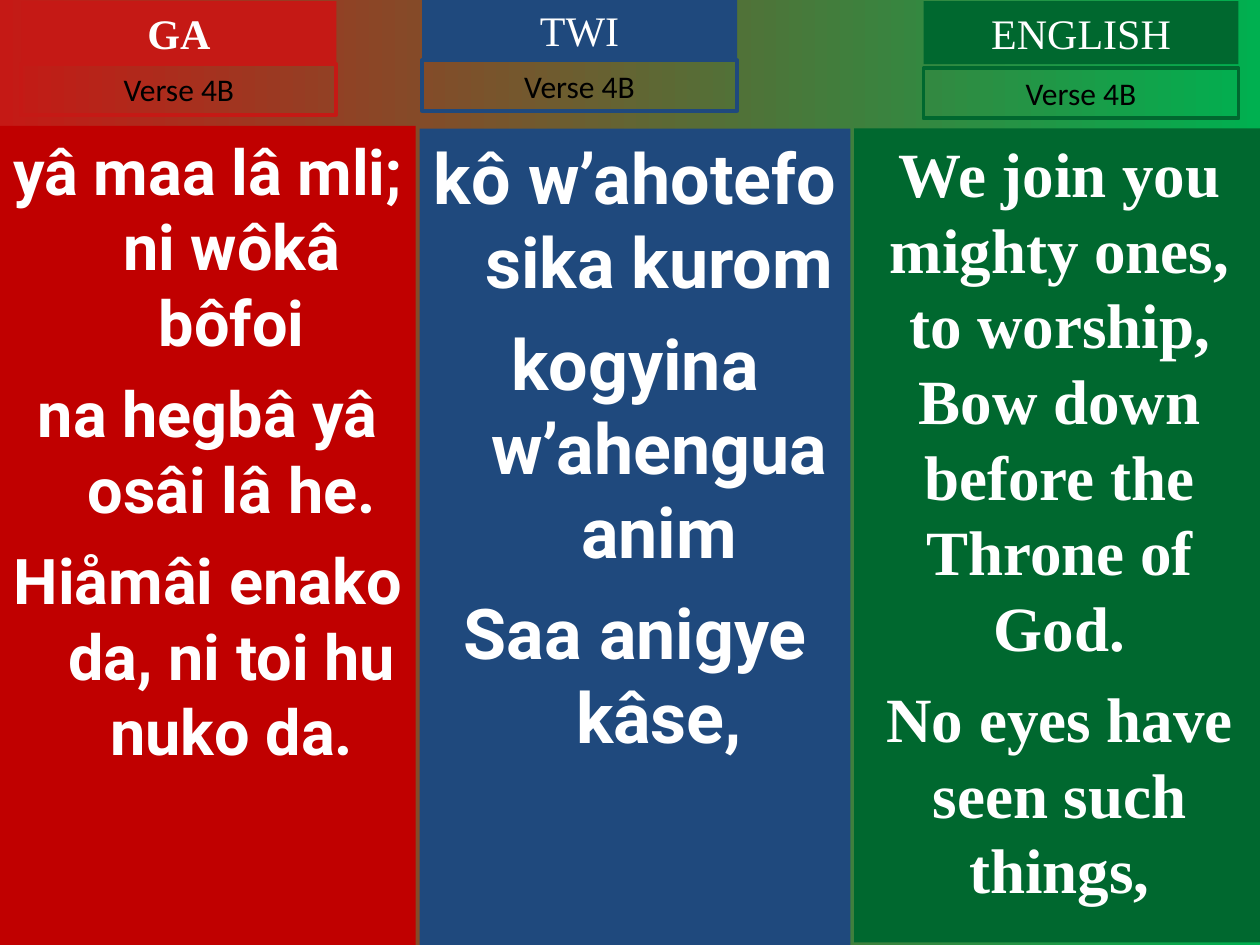
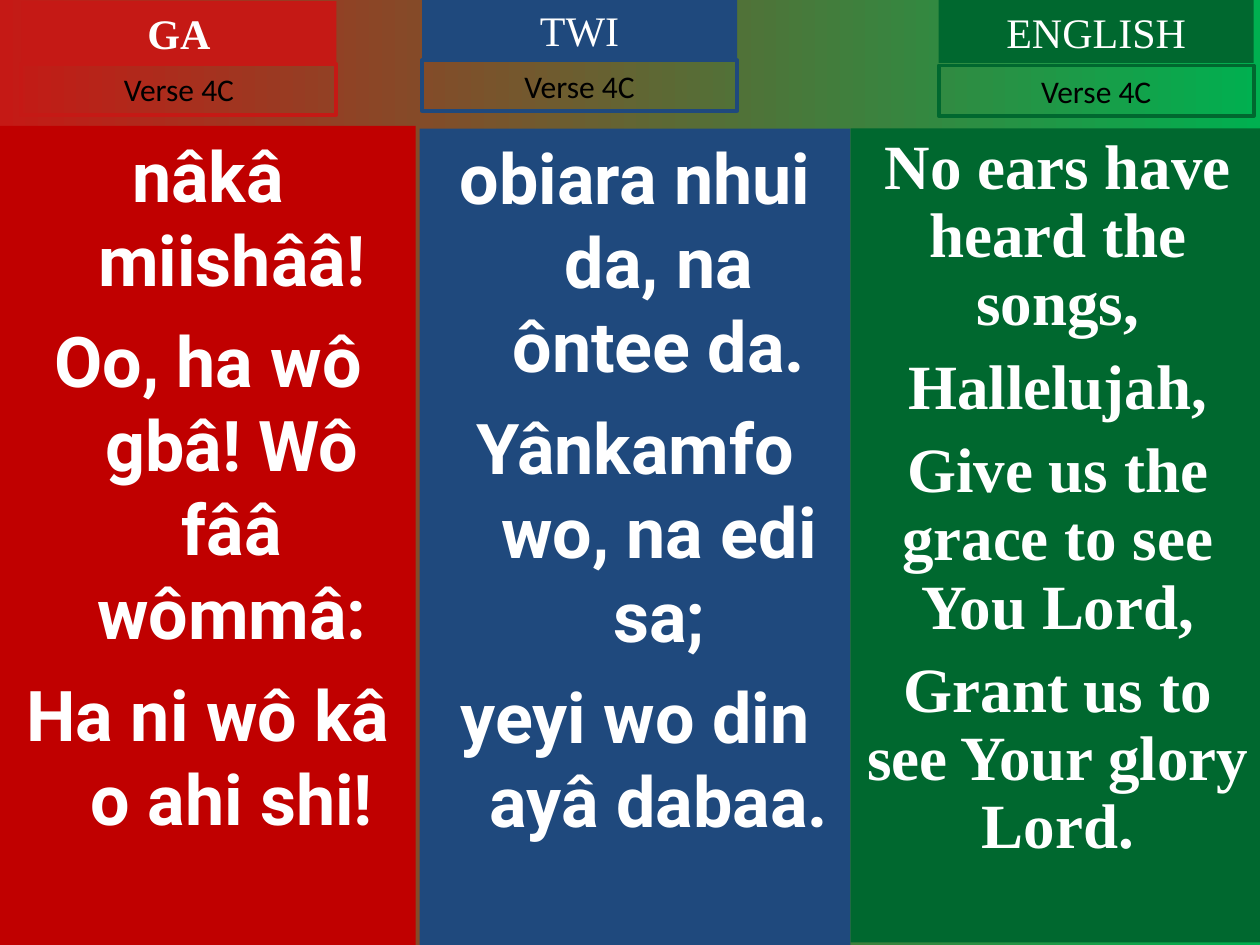
"""Build two hymn slides with Ga, Twi and English lyrics side by side."""
from dataclasses import dataclass

from pptx import Presentation
from pptx.dml.color import RGBColor
from pptx.enum import shapes, text
from pptx.shapes.autoshape import Shape
from pptx.slide import Slide
from pptx.util import Inches, Pt


@dataclass(frozen=True)
class Theme:
    red: RGBColor = RGBColor(0xC5, 0x19, 0x15)
    deep_red: RGBColor = RGBColor(0xC0, 0x00, 0x00)
    blue: RGBColor = RGBColor(0x1F, 0x49, 0x7D)
    green: RGBColor = RGBColor(0x00, 0x68, 0x2F)
    bright_green: RGBColor = RGBColor(0x00, 0xB0, 0x50)
    white: RGBColor = RGBColor(0xFF, 0xFF, 0xFF)
    black: RGBColor = RGBColor(0x00, 0x00, 0x00)
    lyric_font: str = "Roboto"
    serif_font: str = "Times New Roman"
    verse_font: str = "Calibri"
    language_size: int = 24
    verse_size: int = 18
    lyric_size: int = 36
    large_lyric_size: int = 40


THEME = Theme()


@dataclass(frozen=True)
class Box:
    left: float
    top: float
    width: float
    height: float


@dataclass(frozen=True)
class TextStyle:
    font: str
    size: int
    color: RGBColor
    bold: bool = False
    space_before: float = 0
    line_spacing: float | None = None
    hanging: float = 0


@dataclass(frozen=True)
class Language:
    name: str
    label_color: RGBColor
    panel_color: RGBColor
    font: str
    bold_label: bool = False
    hanging: float = 0


@dataclass(frozen=True)
class Column:
    language: Language
    panel: Box
    label_left: float
    label_top: float
    verse_top: float
    lyrics: tuple[str, ...]
    size: int
    space_before: float
    line_spacing: float | None = None


GA = Language("GA", THEME.red, THEME.deep_red, THEME.lyric_font, True, 0.38)
TWI = Language("TWI", THEME.blue, THEME.blue, THEME.lyric_font, False, 0.38)
ENGLISH = Language("ENGLISH", THEME.green, THEME.green, THEME.serif_font)


def ga_column(lyrics: tuple[str, ...], size: int, space_before: float) -> Column:
    return Column(GA, Box(0, 1, 3.3, 6.5), 0.17, 0.01, 0.51, lyrics, size, space_before)


def twi_column(lyrics: tuple[str, ...]) -> Column:
    return Column(TWI, Box(3.33, 1.02, 3.42, 6.48), 3.35, -0.01, 0.48, lyrics,
                  THEME.large_lyric_size, 10)


VERSES: dict[str, tuple[Column, ...]] = {
    "Verse 4B": (
        ga_column(("yâ maa lâ mli; ni wôkâ bôfoi",
                   "na hegbâ yâ osâi lâ he.",
                   "Hiåmâi enako da, ni toi hu nuko da."), THEME.lyric_size, 9),
        twi_column(("kô w’ahotefo sika kurom",
                    "kogyina w’ahengua anim",
                    "Saa anigye kâse,")),
        Column(ENGLISH, Box(6.78, 1.02, 3.26, 6.46), 7.33, 0.01, 0.54,
               ("We join you mighty ones, to worship, Bow down before the Throne of God.",
                "No eyes have seen such things,"), THEME.lyric_size, 9),
    ),
    "Verse 4C": (
        ga_column(("nâkâ miishââ!",
                   "Oo, ha wô gbâ! Wô fââ wômmâ:",
                   "Ha ni wô kâ o ahi shi!"), THEME.large_lyric_size, 10),
        twi_column(("obiara nhui da, na ôntee da.",
                    "Yânkamfo wo, na edi sa;",
                    "yeyi wo din ayâ dabaa.")),
        Column(ENGLISH, Box(6.75, 1.02, 3.29, 6.46), 7.45, 0, 0.52,
               ("No ears have heard the songs,",
                "Hallelujah,",
                "Give us the grace to see You Lord,",
                "Grant us to see Your glory Lord."), THEME.lyric_size, 9, 0.9),
    ),
}


def add_box(slide: Slide, box: Box, lines: tuple[str, ...], style: TextStyle) -> Shape:
    shape = slide.shapes.add_shape(
        shapes.MSO_SHAPE.RECTANGLE, Inches(box.left), Inches(box.top),
        Inches(box.width), Inches(box.height))
    shape.shadow.inherit = False
    frame = shape.text_frame
    frame.word_wrap = True
    frame.vertical_anchor = text.MSO_ANCHOR.TOP
    frame.text = "\n".join(lines)
    for index, paragraph in enumerate(frame.paragraphs):
        paragraph.alignment = text.PP_ALIGN.CENTER
        if index:
            paragraph.space_before = Pt(style.space_before)
        if style.line_spacing:
            paragraph.line_spacing = style.line_spacing
        if style.hanging:
            properties = paragraph._p.get_or_add_pPr()
            properties.set("marL", str(Inches(style.hanging)))
            properties.set("indent", str(-Inches(style.hanging)))
        for run in paragraph.runs:
            run.font.name = style.font
            run.font.size = Pt(style.size)
            run.font.bold = style.bold
            run.font.color.rgb = style.color
    return shape


def add_filled_box(slide: Slide, box: Box, lines: tuple[str, ...], style: TextStyle,
                   color: RGBColor) -> Shape:
    shape = add_box(slide, box, lines, style)
    shape.fill.solid()
    shape.fill.fore_color.rgb = color
    shape.line.fill.background()
    return shape


def add_column(slide: Slide, column: Column, verse: str) -> None:
    language = column.language
    lyric_style = TextStyle(language.font, column.size, THEME.white, True,
                            column.space_before, column.line_spacing, language.hanging)
    add_filled_box(slide, column.panel, column.lyrics, lyric_style, language.panel_color)

    label_style = TextStyle(THEME.serif_font, THEME.language_size, THEME.white,
                            language.bold_label)
    label = add_filled_box(slide, Box(column.label_left, column.label_top, 2.5, 0.5),
                           (language.name,), label_style, language.label_color)

    verse_style = TextStyle(THEME.verse_font, THEME.verse_size, THEME.black)
    verse_box = add_box(slide, Box(column.label_left, column.verse_top, 2.5, 0.4),
                        (verse,), verse_style)
    verse_box.fill.background()
    verse_box.line.color.rgb = language.label_color
    verse_box.line.width = Pt(2.25)
    for shape in (label, verse_box):
        shape.text_frame.auto_size = text.MSO_AUTO_SIZE.SHAPE_TO_FIT_TEXT


def set_background(presentation: Presentation) -> None:
    fill = presentation.slide_master.background.fill
    fill.gradient()
    fill.gradient_angle = 0
    for stop, color in zip(fill.gradient_stops, (THEME.red, THEME.bright_green)):
        stop.color.rgb = color


def main() -> None:
    presentation = Presentation()
    presentation.slide_width = Inches(10)
    presentation.slide_height = Inches(7.5)
    set_background(presentation)
    blank_layout = presentation.slide_layouts[6]
    for verse, columns in VERSES.items():
        slide = presentation.slides.add_slide(blank_layout)
        for column in columns:
            add_column(slide, column, verse)
    presentation.save("out.pptx")


if __name__ == "__main__":
    main()
